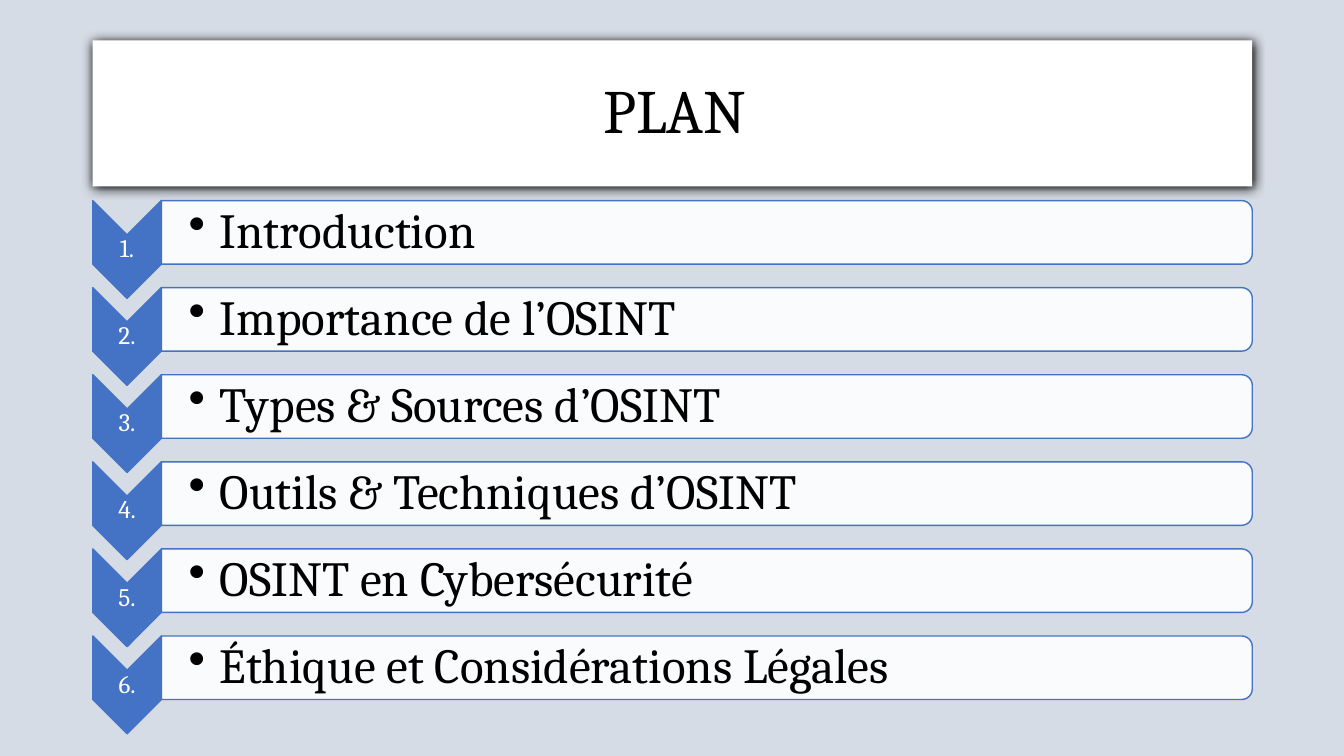
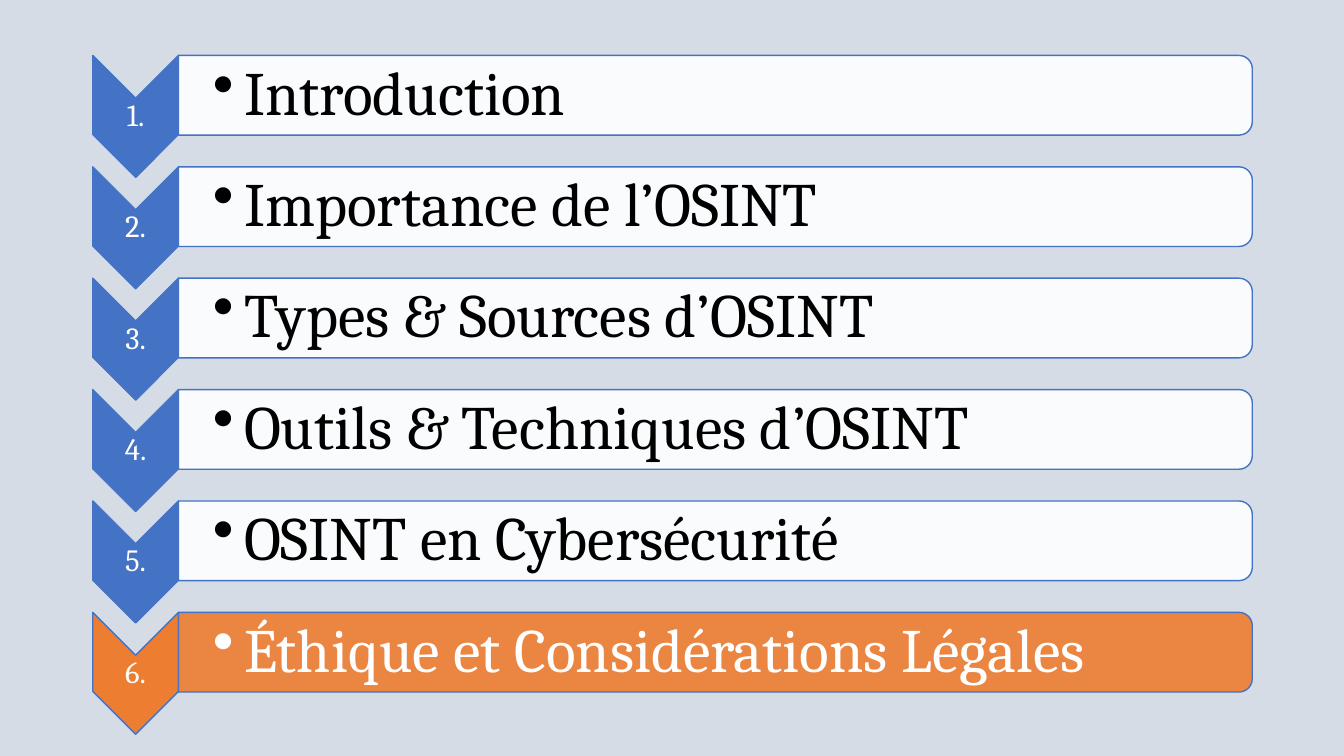
from pptx import Presentation
from pptx.dml.color import RGBColor
from pptx.enum.shapes import MSO_SHAPE as Shape
from pptx.enum.text import MSO_ANCHOR as Anchor, PP_ALIGN as Align
from pptx.oxml.ns import qn
from pptx.util import Inches, Pt
from lxml.etree import SubElement

FONT = "Cambria"
BACK = RGBColor(0xD6, 0xDC, 0xE5)
BLUE = RGBColor(0x44, 0x72, 0xC4)
ORANGE = RGBColor(0xED, 0x7D, 0x31)
WHITE = RGBColor(0xFF, 0xFF, 0xFF)
BLACK = RGBColor(0, 0, 0)

LEFT, RIGHT = 0.92, 12.42
INDENT = 0.31
TITLE = "PLAN"
TOPICS = [
    "Introduction",
    "Importance de l’OSINT",
    "Types & Sources d’OSINT",
    "Outils & Techniques d’OSINT",
    "OSINT en Cybersécurité",
    "Éthique et Considérations Légales",
]
# Lengths in inches, text sizes in points; "active" is the highlighted topic
PLANS = [
    dict(title=TITLE, top=1.99, pitch=0.864, arrow=(0.68, 0.97), bar=0.63,
         inset=0.27, pad=0.02, num=18, size=35, active=None),
    dict(title=None, top=0.55, pitch=1.105, arrow=(0.85, 1.21), bar=0.79,
         inset=0.34, pad=0.03, num=22, size=44, active=6),
]


def write(shape, text, size, color, pads, bullet=False):
    """Fill a shape with one styled line; pads are left and other insets."""
    frame = shape.text_frame
    frame.word_wrap = True
    frame.vertical_anchor = Anchor.MIDDLE
    frame.margin_left = Inches(pads[0])
    frame.margin_top = frame.margin_right = frame.margin_bottom = Inches(pads[1])
    frame.text = text
    para = frame.paragraphs[0]
    if bullet:
        props = para._p.get_or_add_pPr()
        props.set("marL", str(Inches(INDENT)))
        props.set("indent", str(-Inches(INDENT)))
        SubElement(props, qn("a:buChar"), char="•")
    para.alignment = Align.LEFT if bullet else Align.CENTER
    para.line_spacing = 0.9
    font = para.runs[0].font
    font.name, font.size, font.color.rgb = FONT, Pt(size), color


def add_box(slide, x, y, w, h):
    return slide.shapes.add_textbox(Inches(x), Inches(y), Inches(w), Inches(h))


def add_turned(slide, kind, x, y, w, h, color):
    """Add a shape turned by 90 degrees that covers the given area."""
    left, top = x + (w - h) / 2, y + (h - w) / 2
    shape = slide.shapes.add_shape(
        kind, Inches(left), Inches(top), Inches(h), Inches(w))
    shape.rotation = 90
    shape.shadow.inherit = False
    shape.fill.solid()
    shape.fill.fore_color.rgb = color
    shape.line.color.rgb = BLUE
    shape.line.width = Pt(1)
    return shape


def add_title(slide, text):
    shape = slide.shapes.add_shape(
        Shape.RECTANGLE, Inches(LEFT), Inches(0.4),
        Inches(RIGHT - LEFT), Inches(1.45))
    shape.fill.solid()
    shape.fill.fore_color.rgb = WHITE
    shape.line.fill.background()
    shape.shadow.inherit = False
    effects = shape._element.spPr.find(qn("a:effectLst"))
    shadow = SubElement(effects, qn("a:outerShdw"), blurRad=str(Pt(8.5)),
                        dist=str(Pt(1)), dir="5400000", algn="t", rotWithShape="0")
    SubElement(shadow, qn("a:srgbClr"), val=str(BLACK))
    write(shape, text, 44, BLACK, (0.1, 0.05))


def add_topic(slide, plan, num, topic):
    active = num == plan["active"]
    y = plan["top"] + (num - 1) * plan["pitch"]
    wide, tall = plan["arrow"]
    pad = plan["pad"]

    add_turned(slide, Shape.CHEVRON, LEFT, y, wide, tall,
               ORANGE if active else BLUE)
    label = add_box(slide, LEFT, y + wide / 2, wide, tall - wide)
    write(label, f"{num}.", plan["num"], WHITE, (0.01, 0.01))

    x = LEFT + wide
    bar = add_turned(slide, Shape.ROUND_2_SAME_RECTANGLE, x, y, RIGHT - x,
                     plan["bar"], ORANGE if active else WHITE)
    tint = bar._element.spPr.find(qn("a:solidFill")).find(qn("a:srgbClr"))
    SubElement(tint, qn("a:alpha"), val="90000")
    gap = 0.04
    text = add_box(slide, x, y + gap, RIGHT - x - gap, plan["bar"] - 2 * gap)
    write(text, topic, plan["size"], WHITE if active else BLACK,
          (plan["inset"], pad), bullet=True)


def main():
    prs = Presentation()
    prs.slide_width, prs.slide_height = Inches(13.33), Inches(7.5)
    back = prs.slide_master.background.fill
    back.solid()
    back.fore_color.rgb = BACK
    for plan in PLANS:
        slide = prs.slides.add_slide(prs.slide_layouts[6])
        if plan["title"]:
            add_title(slide, plan["title"])
        for num, topic in enumerate(TOPICS, 1):
            add_topic(slide, plan, num, topic)
    prs.save("out.pptx")


if __name__ == "__main__":
    main()
